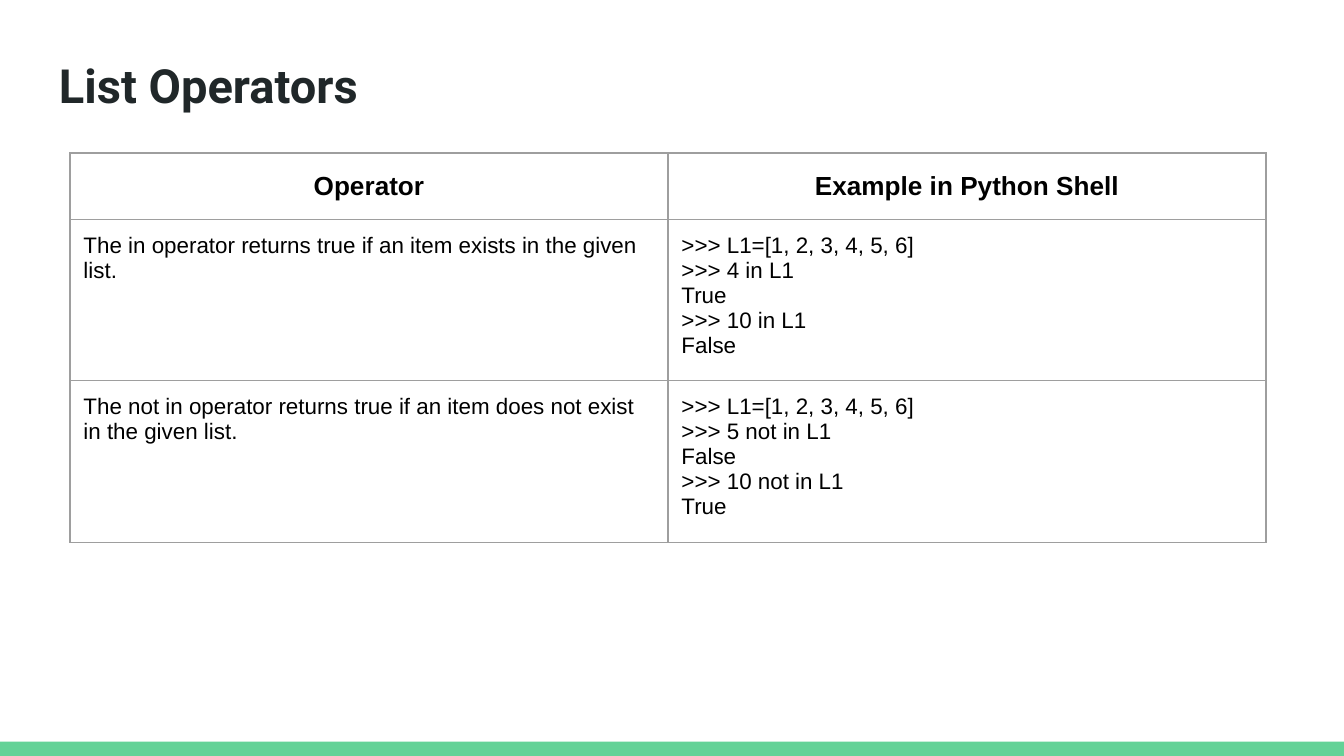
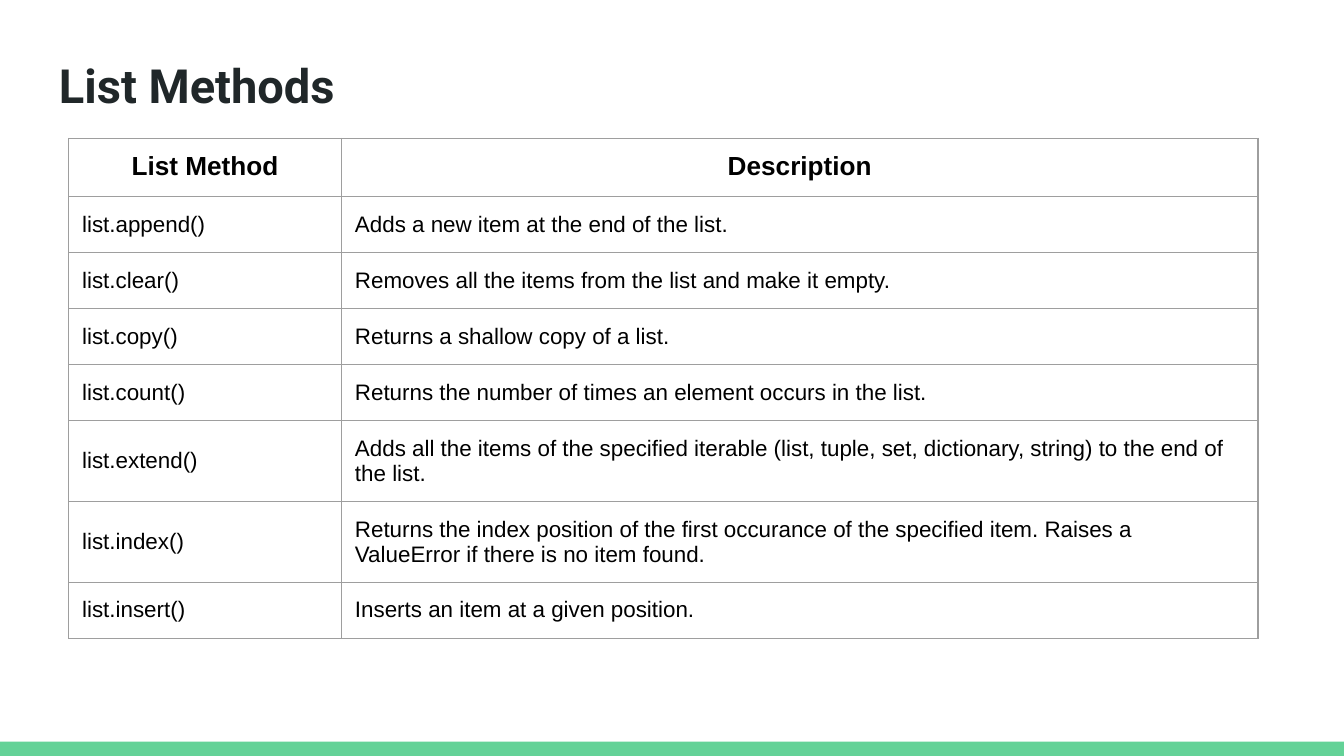
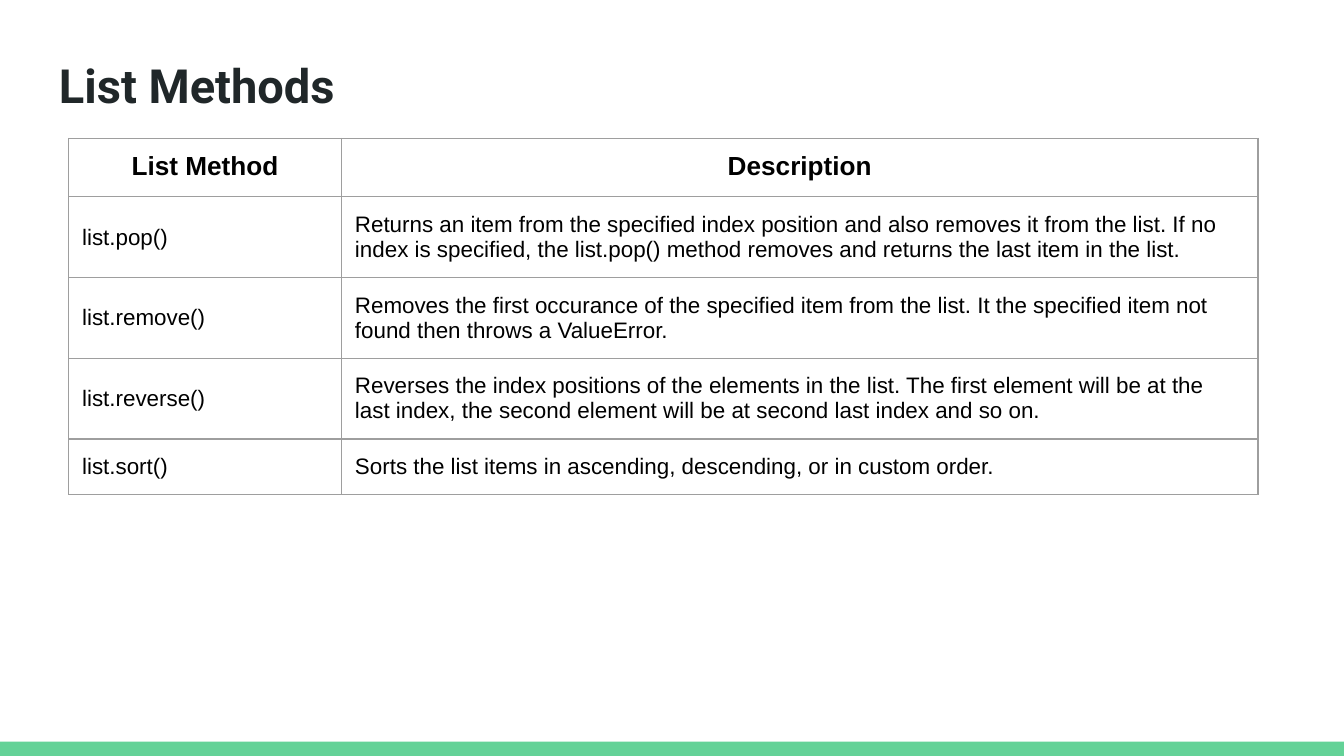
"""Build three slides on Python list operators and list methods."""
from lxml import etree
from pptx import Presentation
from pptx.dml.color import RGBColor
from pptx.enum import shapes, text
from pptx.oxml import ns
from pptx.util import Pt

GREEN, INK, BLACK, GREY, WHITE = "63D297", "202729", "000000", "9E9E9E", "FFFFFF"
INSET = Pt(7.2)
MARGINS = {f"margin_{side}": INSET for side in ("left", "top", "right", "bottom")}
TITLE = {"name": "Roboto", "size": Pt(25.2), "bold": True}
HEADER = {"name": "Arial", "size": Pt(14), "bold": True}
BODY = {"name": "Arial", "size": Pt(12), "bold": False}
TOP, MIDDLE = text.MSO_ANCHOR.TOP, text.MSO_ANCHOR.MIDDLE


def color(value):
    return RGBColor.from_string(value)


def write(frame, words, style, ink, align=text.PP_ALIGN.LEFT):
    frame.text = words
    frame.word_wrap = True
    for para in frame.paragraphs:
        para.alignment = align
        for span in para.runs:
            span.font.color.rgb = color(ink)
            for name, value in style.items():
                setattr(span.font, name, value)


method_layout = {"left": 36.8, "top": 74.2, "columns": (146.2, 491),
                 "heights": (30, 30), "header_anchor": TOP, "body_anchor": MIDDLE}
operator_layout = {"left": 37.5, "top": 82, "columns": (320.4, 320.4),
                   "heights": (35.6, 55.4), "header_anchor": MIDDLE, "body_anchor": TOP}
method_header = ("List Method", "Description")

lessons = [
    ("List Operators", operator_layout, [
        ("Operator", "Example in Python Shell"),
        ("The in operator returns true if an item exists in the given list.",
         ">>> L1=[1, 2, 3, 4, 5, 6]\n>>> 4 in L1\nTrue\n>>> 10 in L1\nFalse"),
        ("The not in operator returns true if an item does not exist in the given list.",
         ">>> L1=[1, 2, 3, 4, 5, 6]\n>>> 5 not in L1\nFalse\n>>> 10 not in L1\nTrue"),
    ]),
    ("List Methods", method_layout, [
        method_header,
        ("list.append()", "Adds a new item at the end of the list."),
        ("list.clear()", "Removes all the items from the list and make it empty."),
        ("list.copy()", "Returns a shallow copy of a list."),
        ("list.count()", "Returns the number of times an element occurs in the list."),
        ("list.extend()", "Adds all the items of the specified iterable (list, tuple, set, "
                          "dictionary, string) to the end of the list."),
        ("list.index()", "Returns the index position of the first occurance of the specified "
                         "item. Raises a ValueError if there is no item found."),
        ("list.insert()", "Inserts an item at a given position."),
    ]),
    ("List Methods", method_layout, [
        method_header,
        ("list.pop()", "Returns an item from the specified index position and also removes it "
                       "from the list. If no index is specified, the list.pop() method removes "
                       "and returns the last item in the list."),
        ("list.remove()", "Removes the first occurance of the specified item from the list. "
                          "It the specified item not found then throws a ValueError."),
        ("list.reverse()", "Reverses the index positions of the elements in the list. The first "
                           "element will be at the last index, the second element will be at "
                           "second last index and so on."),
        ("list.sort()", "Sorts the list items in ascending, descending, or in custom order."),
    ]),
]

deck = Presentation()
deck.slide_width, deck.slide_height = Pt(720), Pt(405)

for title, layout, rows in lessons:
    page = deck.slides.add_slide(deck.slide_layouts[6])
    page.background.fill.solid()
    page.background.fill.fore_color.rgb = color(WHITE)

    band = page.shapes.add_shape(shapes.MSO_SHAPE.RECTANGLE, Pt(0), Pt(397.3), Pt(720), Pt(7.7))
    band.shadow.inherit = False
    band.fill.solid()
    band.fill.fore_color.rgb = color(GREEN)
    band.line.fill.background()

    box = page.shapes.add_textbox(Pt(24.5), Pt(23), Pt(671), Pt(45.4))
    for name, value in MARGINS.items():
        setattr(box.text_frame, name, value)
    write(box.text_frame, title, TITLE, INK)

    header_height, body_height = layout["heights"]
    heights = [header_height] + [body_height] * (len(rows) - 1)
    table = page.shapes.add_table(
        len(rows), len(layout["columns"]), Pt(layout["left"]), Pt(layout["top"]),
        Pt(sum(layout["columns"])), Pt(sum(heights))).table
    table.first_row = table.horz_banding = False
    for column, width in zip(table.columns, layout["columns"]):
        column.width = Pt(width)

    for index, words in enumerate(rows):
        table.rows[index].height = Pt(heights[index])
        for cell, entry in zip(table.rows[index].cells, words):
            if index == 0:
                write(cell.text_frame, entry, HEADER, BLACK, text.PP_ALIGN.CENTER)
            else:
                write(cell.text_frame, entry, BODY, BLACK)
            cell.vertical_anchor = layout["body_anchor" if index else "header_anchor"]
            for name, value in MARGINS.items():
                setattr(cell, name, value)
            properties = cell._tc.get_or_add_tcPr()
            for edge in ("a:lnL", "a:lnR", "a:lnT", "a:lnB"):
                border = etree.SubElement(properties, ns.qn(edge), w=str(Pt(0.75)))
                paint = etree.SubElement(border, ns.qn("a:solidFill"))
                etree.SubElement(paint, ns.qn("a:srgbClr"), val=GREY)
            cell.fill.background()

deck.save("out.pptx")
